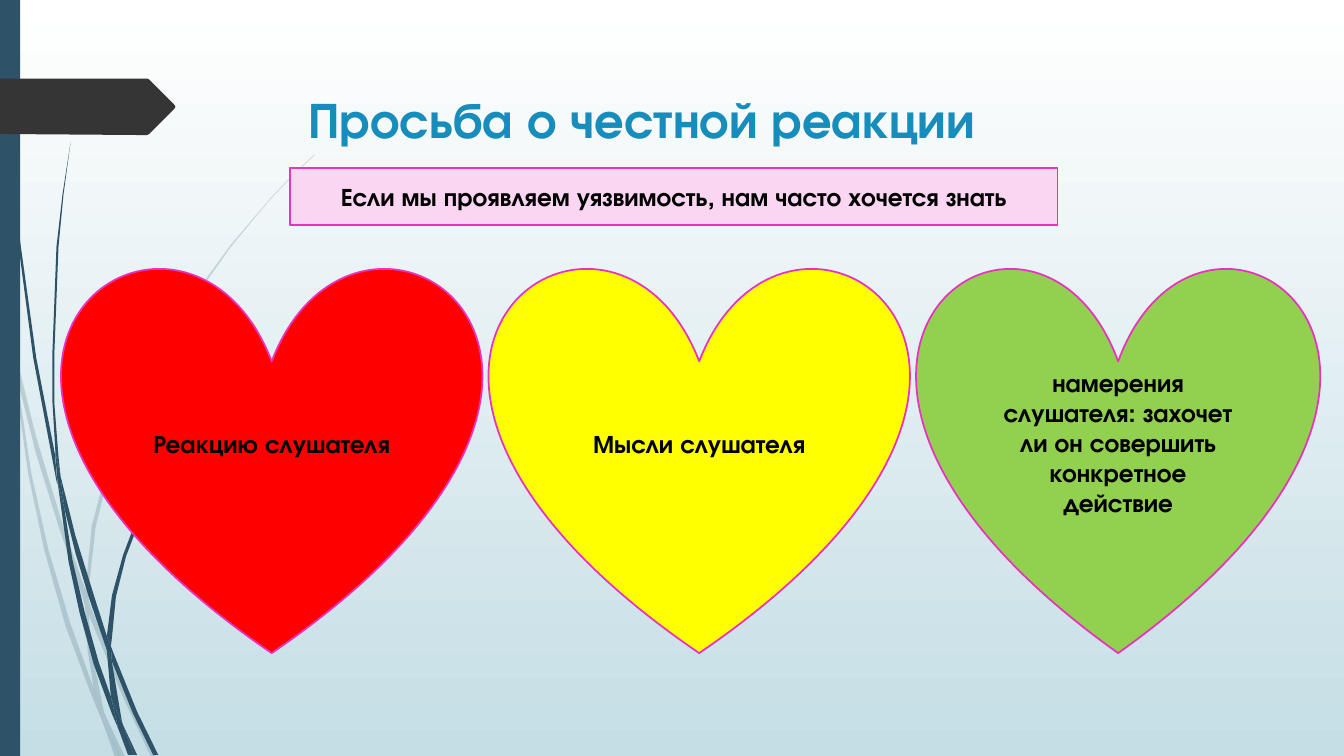
from lxml import etree
from pptx import Presentation
from pptx.dml.color import RGBColor
from pptx.enum.shapes import MSO_SHAPE
from pptx.enum.text import MSO_ANCHOR, PP_ALIGN
from pptx.oxml.ns import qn
from pptx.util import Inches, Pt

RECTANGLE, HEART = MSO_SHAPE.RECTANGLE, MSO_SHAPE.HEART
TOP, MIDDLE = MSO_ANCHOR.TOP, MSO_ANCHOR.MIDDLE
LEFT, CENTER = PP_ALIGN.LEFT, PP_ALIGN.CENTER

FONT = "TeX Gyre Adventor"
COLORS = {
    "sky_top": "FFFFFF", "sky_bottom": "C5DEE5", "stem": "2E5369", "tag": "353535",
    "title": "178DBB", "text": "000000", "outline": "E833BF", "banner": "FAD6F2",
    "red": "FF0000", "yellow": "FFFF00", "green": "92D050",
}

TITLE = "Просьба о честной реакции"
BANNER = "Если мы проявляем уязвимость, нам часто хочется знать"
# text, fill, width, line spacing, space after
HEARTS = [
    ("Реакцию слушателя", "red", 4.15, 1.07, 8),
    ("Мысли слушателя", "yellow", 4.15, 1.07, 8),
    ("намерения слушателя: захочет ли он совершить конкретное действие",
     "green", 3.98, 1.0, 0),
]
HEART_LEFT, HEART_TOP, HEART_HEIGHT, HEART_GAP = 0.62, 2.62, 3.86, 0.09

# Outlines of the grass stems, in inches on the slide
PALE_STEMS = [
    [(0.11, 3.5), (0.09, 3.22), (0, 2.82), (0, 2.99), (0.1, 3.44)],
    [(0.58, 5.22), (0.84, 5.99), (0.85, 5.86), (0.62, 5.2), (0.36, 4.34), (0.14, 3.45),
     (0.17, 3.76), (0.36, 4.51)],
    [(0.92, 6.07), (0.88, 5.96), (0.88, 6.1), (1.23, 6.94), (1.5, 7.51), (1.55, 7.51),
     (1.27, 6.92)],
    [(1.19, 7.51), (1.24, 7.51), (1.05, 7.11)],
    [(0.93, 6.83), (0.7, 6.19), (0.48, 5.45), (0.31, 4.69), (0.17, 3.76), (0.11, 3.5),
     (0.28, 4.7), (0.44, 5.46), (0.65, 6.21), (0.92, 6.93), (1.01, 7.14), (0.99, 7.07)],
    [(0.84, 5.99), (0.87, 6.46), (0.93, 6.83), (0.96, 6.92), (1.05, 7.11), (1.03, 7.06),
     (0.91, 6.46), (0.88, 6.1), (0.88, 6.08)],
    [(0.88, 5.84), (0.95, 5.22), (1.1, 4.62), (1.33, 4.05), (1.6, 3.49), (1.93, 2.96),
     (2.29, 2.45), (2.68, 1.98), (2.9, 1.75), (3.12, 1.54), (3.12, 1.53), (2.89, 1.75),
     (2.68, 1.97), (2.28, 2.44), (1.91, 2.95), (1.58, 3.48), (1.3, 4.03), (1.07, 4.61),
     (0.91, 5.22), (0.85, 5.84), (0.85, 5.86), (0.88, 5.96)],
    [(1.01, 7.14), (1.14, 7.51), (1.19, 7.51)],
    [(0.88, 6.08), (0.88, 6.1), (0.88, 5.96), (0.85, 5.86), (0.84, 5.99)],
    [(0.96, 6.92), (0.93, 6.83), (0.99, 7.07), (1.01, 7.14), (1.19, 7.51), (1.05, 7.11)],
]
DARK_STEMS = [
    [(0.07, 1.1), (0.17, 2.33), (0.33, 3.55), (0.56, 4.77), (0.57, 4.81), (0.55, 4.57),
     (0.55, 4.53), (0.36, 3.55), (0.19, 2.32), (0.08, 1.09), (0.05, 0.48), (0.04, 0),
     (0.03, 0), (0.04, 0.48)],
    [(0.88, 5.92), (1.06, 6.45), (1.06, 6.31), (0.93, 5.9), (0.75, 5.32), (0.6, 4.72),
     (0.64, 5.05), (0.75, 5.49)],
    [(1.13, 6.49), (1.1, 6.41), (1.11, 6.56), (1.32, 7.08), (1.52, 7.49), (1.57, 7.49),
     (1.36, 7.06)],
    [(1.1, 6.91), (0.98, 6.57), (0.84, 6.07), (0.72, 5.56), (0.64, 5.05), (0.57, 4.77),
     (0.68, 5.57), (0.79, 6.08), (0.93, 6.59), (1.11, 7.08), (1.17, 7.22), (1.16, 7.17)],
    [(0.6, 4.72), (0.58, 4.53), (0.54, 4.01), (0.54, 3.49), (0.58, 2.45), (0.63, 1.93),
     (0.7, 1.41), (0.62, 1.93), (0.56, 2.45), (0.52, 3.49), (0.52, 3.99), (0.55, 4.49)],
    [(1.33, 7.49), (1.36, 7.49), (1.22, 7.19)],
    [(0.57, 4.77), (0.64, 5.05), (0.6, 4.72), (0.55, 4.49), (0.55, 4.53)],
    [(1.11, 6.33), (1.15, 5.92), (1.25, 5.52), (1.4, 5.13), (1.58, 4.76), (1.8, 4.4),
     (2.05, 4.06), (2.31, 3.74), (2.45, 3.59), (2.61, 3.44), (2.6, 3.44), (2.45, 3.58),
     (2.31, 3.73), (2.04, 4.05), (1.78, 4.38), (1.56, 4.74), (1.37, 5.11), (1.22, 5.51),
     (1.11, 5.91), (1.06, 6.31), (1.1, 6.41)],
    [(1.17, 7.22), (1.27, 7.49), (1.31, 7.49)],
    [(1.06, 6.45), (1.1, 6.91), (1.16, 7.06), (1.22, 7.19), (1.21, 7.16), (1.11, 6.56),
     (1.09, 6.51)],
    [(1.06, 6.45), (1.09, 6.51), (1.11, 6.56), (1.1, 6.41), (1.06, 6.31)],
    [(1.16, 7.06), (1.1, 6.91), (1.16, 7.17), (1.17, 7.22), (1.3, 7.49), (1.33, 7.49),
     (1.22, 7.19)],
]
TAG = [(0, 0.78), (1.46, 0.78), (1.48, 0.79), (1.73, 1.04), (1.74, 1.06), (1.73, 1.08),
       (1.48, 1.33), (1.46, 1.34), (1.36, 1.34), (0, 1.33)]


def color(name):
    return RGBColor.from_string(COLORS[name])


def paint(shape, fill, outline=None):
    shape.shadow.inherit = False
    shape.fill.solid()
    shape.fill.fore_color.rgb = color(fill)
    if outline:
        shape.line.color.rgb = color(outline)
        shape.line.width = Pt(1.25)
    else:
        shape.line.fill.background()


def add_outline(page, points, fill, opacity=100):
    """Draw a closed, filled polygon; opacity is in percent."""
    corners = [(Inches(x), Inches(y)) for x, y in points]
    builder = page.shapes.build_freeform(*corners[0])
    builder.add_line_segments(corners[1:], close=True)
    shape = builder.convert_to_shape()
    paint(shape, fill)
    if opacity < 100:
        tint = shape.fill._xPr.find(qn("a:solidFill"))[0]
        etree.SubElement(tint, qn("a:alpha"), val=str(opacity * 1000))


def add_preset(page, kind, left, top, width, height, fill, outline=None):
    shape = page.shapes.add_shape(
        kind, Inches(left), Inches(top), Inches(width), Inches(height))
    paint(shape, fill, outline)
    return shape


def write(shape, text, size=18, ink="text", align=CENTER, anchor=MIDDLE,
          spacing=1.0, after=0):
    frame = shape.text_frame
    frame.word_wrap = True
    frame.vertical_anchor = anchor
    para = frame.paragraphs[0]
    para.text = text
    para.alignment = align
    para.line_spacing = spacing
    para.space_after = Pt(after)
    para.font.name = FONT
    para.font.size = Pt(size)
    para.font.bold = True
    para.font.color.rgb = color(ink)


def main():
    deck = Presentation()
    deck.slide_width, deck.slide_height = Inches(13.33), Inches(7.5)
    page = deck.slides.add_slide(deck.slide_layouts[6])

    sky = page.background.fill
    sky.gradient()
    sky.gradient_angle = 270
    for stop, name in zip(sky.gradient_stops, ("sky_top", "sky_bottom")):
        stop.color.rgb = color(name)

    for stems, opacity in ((PALE_STEMS, 20), (DARK_STEMS, 100)):
        for points in stems:
            add_outline(page, points, "stem", opacity)
    add_preset(page, RECTANGLE, 0, 0, 0.2, 7.5, "stem")
    add_outline(page, TAG, "tag")

    title = page.shapes.add_textbox(Inches(2.96), Inches(0.83), Inches(9.75), Inches(1.4))
    write(title, TITLE, 36, "title", LEFT, TOP)

    left = HEART_LEFT
    for text, fill, width, spacing, after in HEARTS:
        heart = add_preset(page, HEART, left, HEART_TOP, width, HEART_HEIGHT, fill, "outline")
        write(heart, text, spacing=spacing, after=after)
        left += width + HEART_GAP

    banner = add_preset(page, RECTANGLE, 2.88, 1.67, 7.61, 0.56, "banner", "outline")
    write(banner, BANNER)

    deck.save("out.pptx")


if __name__ == "__main__":
    main()
